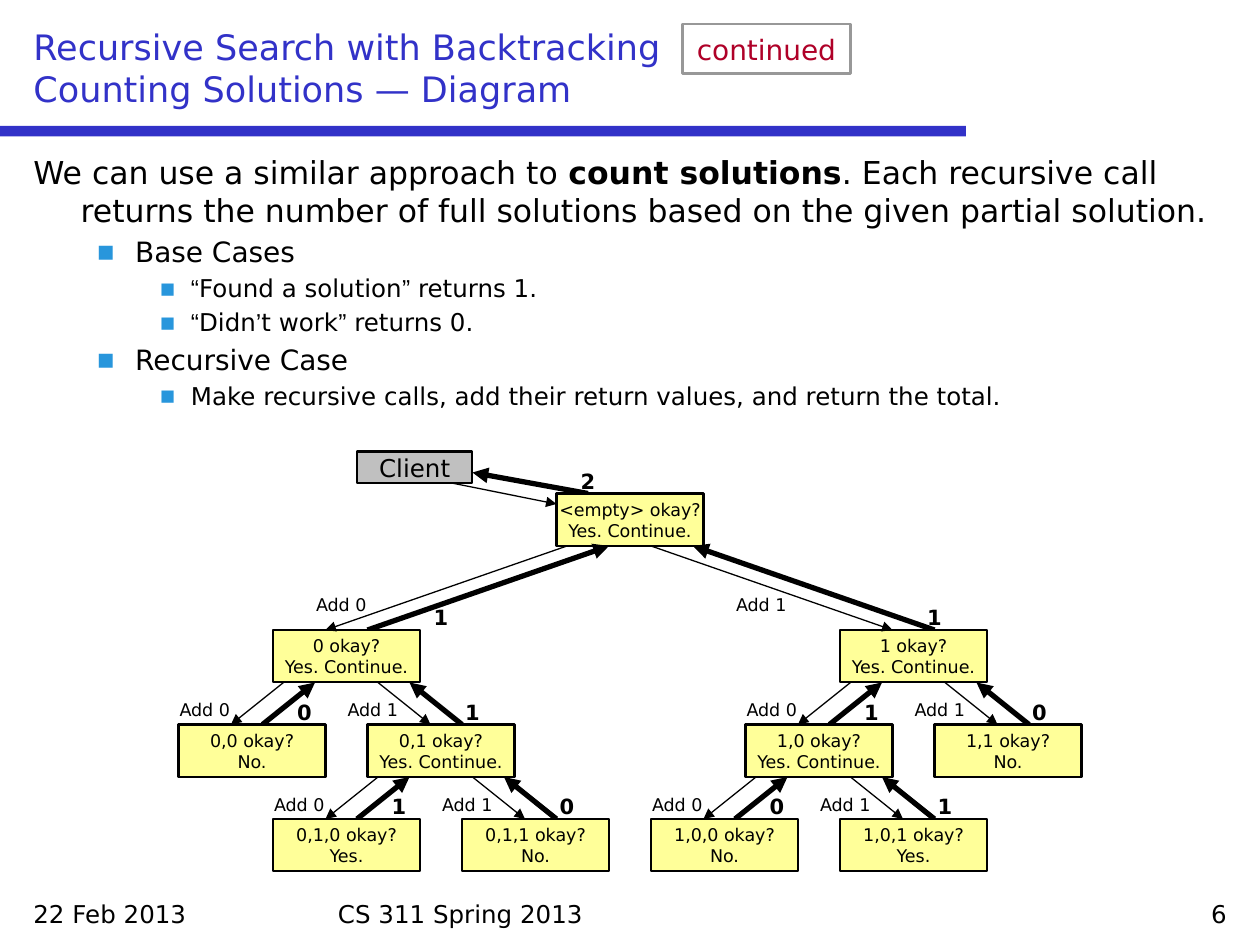
import pptx
import pptx.dml.color
import pptx.enum.shapes
import pptx.enum.text
import pptx.oxml.ns
import pptx.util
from dataclasses import dataclass
from lxml import etree
from typing import Optional

SCALE = 7620  # EMU in one px: 120 px to the inch
ALIGN = pptx.enum.text.PP_ALIGN
ANCHOR = pptx.enum.text.MSO_ANCHOR


@dataclass(frozen=True)
class Theme:
    font: str = "DejaVu Sans"
    quote: str = "Arial"
    ink: str = "000000"
    blue: str = "3232C8"
    red: str = "AF0028"
    bullet: str = "2896DC"
    node: str = "FFFF99"
    client: str = "C0C0C0"
    frame: str = "989898"
    title: int = 20
    body: tuple = (18, 16, 14)
    note: int = 16
    foot: int = 14
    small: int = 10
    count: int = 12
    edge: float = 1.25
    thin: float = 0.75
    thick: float = 3


@dataclass(frozen=True)
class Box:
    x: int
    y: int
    w: int
    h: int


@dataclass(frozen=True)
class Node:
    name: str
    x: int
    y: int
    verdict: str
    count: int


@dataclass(frozen=True)
class Wing:
    """Offsets from parent (start, home) and from child (the others)."""
    start: int
    into: int
    back: int
    home: int
    add: int
    rise: int
    tag: int


THEME = Theme()
WIDE, HIGH = 140, 50
GO = "Yes. Continue."

# Tree rows, top to bottom; a name lists the choices made so far
ROWS = [
    [Node("", 530, 470, GO, 2)],
    [Node("0", 260, 600, GO, 1), Node("1", 800, 600, GO, 1)],
    [Node("0,0", 170, 690, "No.", 0), Node("0,1", 350, 690, GO, 1),
     Node("1,0", 710, 690, GO, 1), Node("1,1", 890, 690, "No.", 0)],
    [Node("0,1,0", 260, 780, "Yes.", 1), Node("0,1,1", 440, 780, "No.", 0),
     Node("1,0,0", 620, 780, "No.", 0), Node("1,0,1", 800, 780, "Yes.", 1)],
]
TREE = {node.name: node for row in ROWS for node in row}

# Wings under the root, then under every other node, by choice
TOP = {"0": Wing(10, 50, 90, 50, 10, -40, 140),
       "1": Wing(90, 50, 90, 130, -130, -40, 70)}
LOW = {"0": Wing(10, 50, 80, 40, -30, -30, 100),
       "1": Wing(100, 60, 90, 130, -50, -30, 80)}

# Outline: level and pieces of text
STRONG = "count solutions"
BODY = [
    (0, ["We can use a similar approach to ", STRONG,
         ". Each recursive call returns the number of full solutions "
         "based on the given partial solution."]),
    (1, ["Base Cases"]),
    (2, ["“", "Found a solution", "”", " returns 1."]),
    (2, ["“", "Didn", "’", "t work", "”", " returns 0."]),
    (1, ["Recursive Case"]),
    (2, ["Make recursive calls, add their return values, and return the total."]),
]
INDENT = [(45, -45), (97, -37), (150, -30)]  # left margin, first line


def px(n: int) -> int:
    return pptx.util.Emu(n * SCALE)


def rgb(code: str):
    return pptx.dml.color.RGBColor.from_string(code)


def style(font, size: float, color: str, bold: bool = False) -> None:
    font.name, font.size, font.bold = THEME.font, pptx.util.Pt(size), bold
    font.color.rgb = rgb(color)


def write(shape, text: str, size: int, color: str = THEME.ink, align=ALIGN.LEFT,
          anchor=ANCHOR.TOP, bold: bool = False, wrap: bool = True) -> None:
    frame = shape.text_frame
    frame.text = text
    frame.word_wrap = wrap
    frame.vertical_anchor = anchor
    for para in frame.paragraphs:
        para.alignment = align
        for run in para.runs:
            style(run.font, size, color, bold)


def label(slide, box: Box, text: str, size: int, **kind) -> None:
    shape = slide.shapes.add_textbox(px(box.x), px(box.y), px(box.w), px(box.h))
    write(shape, text, size, **kind)


def block(slide, box: Box, fill: Optional[str], line: Optional[str]):
    kind = pptx.enum.shapes.MSO_SHAPE.RECTANGLE
    shape = slide.shapes.add_shape(kind, px(box.x), px(box.y), px(box.w), px(box.h))
    shape.shadow.inherit = False
    if fill:
        shape.fill.solid()
        shape.fill.fore_color.rgb = rgb(fill)
    else:
        shape.fill.background()
    if line:
        shape.line.color.rgb = rgb(line)
        shape.line.width = pptx.util.Pt(THEME.edge)
    else:
        shape.line.fill.background()
    return shape


def panel(slide, box: Box, text: str, size: int, fill: Optional[str],
          line: str = THEME.ink, color: str = THEME.ink) -> None:
    write(block(slide, box, fill, line), text, size, color,
          ALIGN.CENTER, ANCHOR.MIDDLE, wrap=False)


def arrow(slide, x: int, y: int, to_x: int, to_y: int, width: float) -> None:
    kind = pptx.enum.shapes.MSO_CONNECTOR.STRAIGHT
    link = slide.shapes.add_connector(kind, px(x), px(y), px(to_x), px(to_y))
    link.line.color.rgb = rgb(THEME.ink)
    link.line.width = pptx.util.Pt(width)
    qn = pptx.oxml.ns.qn
    etree.SubElement(link.line._get_or_add_ln(), qn("a:tailEnd"), type="triangle")
    etree.SubElement(link._element.spPr, qn("a:effectLst"))


def outline(slide, box: Box) -> None:
    qn = pptx.oxml.ns.qn
    shape = slide.shapes.add_textbox(px(box.x), px(box.y), px(box.w), px(box.h))
    frame = shape.text_frame
    frame.word_wrap = True
    for i, (level, parts) in enumerate(BODY):
        para = frame.add_paragraph() if i else frame.paragraphs[0]
        size = THEME.body[level]
        para.level = level
        if i:
            para.space_before = pptx.util.Pt(round(size * 0.2, 1))
        props = para._p.get_or_add_pPr()
        left, first = INDENT[level]
        props.set("marL", str(px(left)))
        props.set("indent", str(px(first)))
        if level:
            tint = etree.SubElement(props, qn("a:buClr"))
            etree.SubElement(tint, qn("a:srgbClr"), val=THEME.bullet)
            etree.SubElement(props, qn("a:buFont"), typeface=THEME.font)
            etree.SubElement(props, qn("a:buChar"), char="▪")
        for part in parts:
            run = para.add_run()
            run.text = part
            style(run.font, size, THEME.ink, part == STRONG)
            if part in "“”’":
                run.font.name = THEME.quote


def links(node: Node) -> tuple[Node, Wing]:
    wings = TOP if len(node.name) == 1 else LOW
    return TREE[node.name[:-2]], wings[node.name[-1]]


def tree(slide) -> None:
    kids = [node for row in ROWS[1:] for node in row]
    # Choice and count labels
    for node in kids:
        _, wing = links(node)
        label(slide, Box(node.x + wing.add, node.y + wing.rise, 110, 32),
              f"Add {node.name[-1]}", THEME.small, align=ALIGN.CENTER)
        label(slide, Box(node.x + wing.tag, node.y - 30, 40, 36),
              str(node.count), THEME.count, align=ALIGN.CENTER, bold=True)
    root = TREE[""]
    label(slide, Box(540, 440, 40, 36), str(root.count), THEME.count,
          align=ALIGN.CENTER, bold=True)
    # Return arrows lie beneath the boxes they leave
    arrow(slide, 560, root.y, 450, 450, THEME.thick)
    for row in ROWS:
        for node in row:
            if node.name:
                top, wing = links(node)
                arrow(slide, node.x + wing.back, node.y,
                      top.x + wing.home, top.y + HIGH, THEME.thick)
        for node in row:
            panel(slide, Box(node.x, node.y, WIDE, HIGH),
                  f"{node.name or '<empty>'} okay?\v{node.verdict}",
                  THEME.small, THEME.node)
    # Call arrows
    for node in kids:
        top, wing = links(node)
        arrow(slide, top.x + wing.start, top.y + HIGH,
              node.x + wing.into, node.y, THEME.thin)
    panel(slide, Box(340, 430, 110, 30), "Client", THEME.foot, THEME.client)
    arrow(slide, 430, 460, root.x, 480, THEME.thin)


def main() -> None:
    deck = pptx.Presentation()
    deck.slide_width, deck.slide_height = px(1200), px(900)
    slide = deck.slides.add_slide(deck.slide_layouts[6])
    # Header rule, footer and title
    block(slide, Box(0, 120, 920, 10), THEME.blue, None)
    label(slide, Box(20, 850, 280, 40), "22 Feb 2013", THEME.foot)
    label(slide, Box(310, 850, 580, 40), "CS 311 Spring 2013", THEME.foot)
    label(slide, Box(900, 850, 280, 40), "6", THEME.foot, align=ALIGN.RIGHT)
    label(slide, Box(20, 20, 1160, 90),
          "Recursive Search with Backtracking\vCounting Solutions — Diagram",
          THEME.title, color=THEME.blue, anchor=ANCHOR.BOTTOM)
    # Text and diagram
    outline(slide, Box(20, 140, 1160, 700))
    tree(slide)
    panel(slide, Box(650, 23, 160, 47), "continued", THEME.note, None,
          THEME.frame, THEME.red)
    deck.save("out.pptx")


if __name__ == "__main__":
    main()
